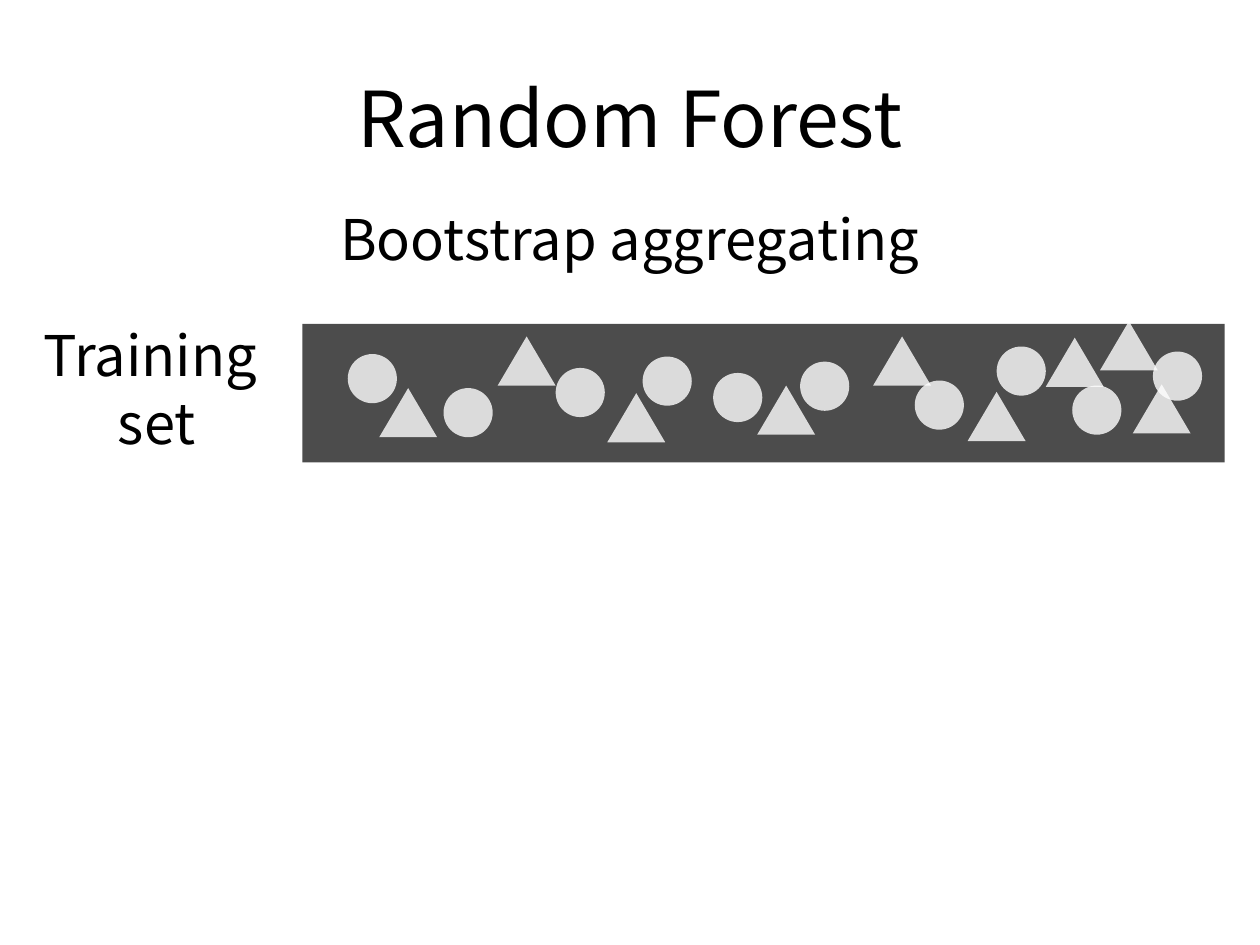
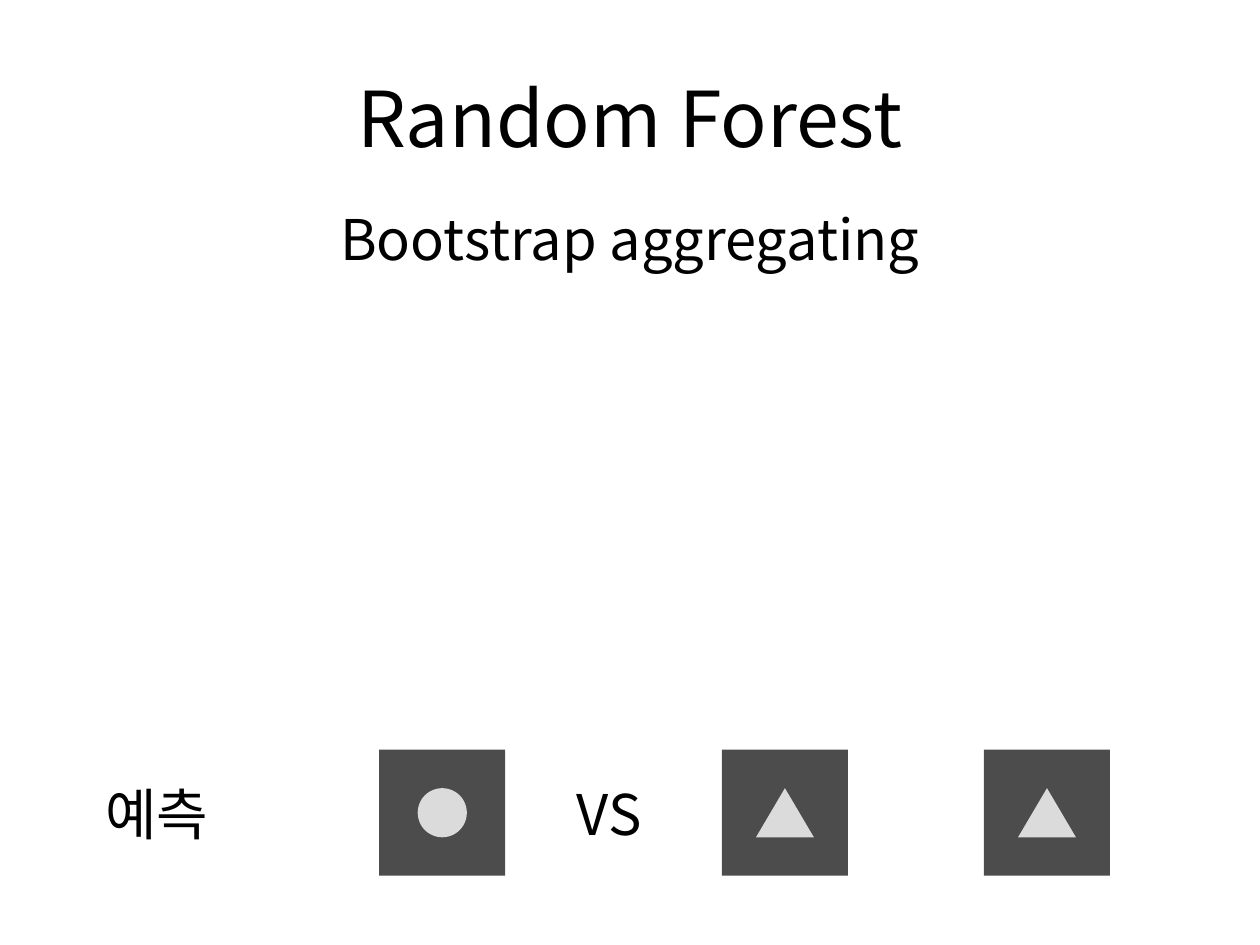
from lxml import etree
from pptx import Presentation
from pptx.dml.color import RGBColor
from pptx.enum import shapes, text
from pptx.oxml import ns
from pptx.util import Inches, Pt

BLACK = RGBColor(0x00, 0x00, 0x00)
WHITE = RGBColor(0xFF, 0xFF, 0xFF)
FONT = "Noto Sans CJK KR"
RECT = shapes.MSO_SHAPE.RECTANGLE
CIRCLE = shapes.MSO_SHAPE.OVAL
TRIANGLE = shapes.MSO_SHAPE.ISOSCELES_TRIANGLE
MARK_HEIGHT = 0.39
MARK_WIDTH = {CIRCLE: 0.39, TRIANGLE: 0.46}
LABEL_SIZE = (2.49, 1.12)

TRAINING_CIRCLES = [
    (0.36, 0.24), (1.12, 0.51), (2.01, 0.35), (3.26, 0.39), (2.7, 0.26),
    (3.95, 0.3), (4.86, 0.45), (6.11, 0.49), (5.51, 0.18), (6.75, 0.22),
]
TRAINING_TRIANGLES = [
    (0.61, 0.51), (1.55, 0.1), (2.42, 0.55), (3.61, 0.49), (4.53, 0.1),
    (5.28, 0.54), (5.9, 0.11), (6.33, -0.02), (6.59, 0.48),
]
PREDICTIONS = [(3.01, CIRCLE), (5.73, TRIANGLE), (7.81, TRIANGLE)]


def add_text(page, box, lines, size=32):
    frame = page.shapes.add_textbox(*map(Inches, box)).text_frame
    frame.word_wrap = True
    frame.vertical_anchor = text.MSO_ANCHOR.MIDDLE
    for index, line in enumerate(lines):
        para = frame.add_paragraph() if index else frame.paragraphs[0]
        para.text = line
        para.alignment = text.PP_ALIGN.CENTER
        if index:
            para.line_spacing = Pt(39)
        font = para.font
        font.size = Pt(size)
        font.name = FONT
        font.color.rgb = BLACK
        latin = para._p.find(".//" + ns.qn("a:latin"))
        east_asian = etree.Element(ns.qn("a:ea"), typeface=FONT)
        latin.addnext(east_asian)


def add_shape(page, kind, box, color, opacity):
    shape = page.shapes.add_shape(kind, *map(Inches, box))
    shape.shadow.inherit = False
    shape.line.fill.background()
    shape.fill.solid()
    shape.fill.fore_color.rgb = color
    tint = shape._element.spPr.find(".//" + ns.qn("a:srgbClr"))
    etree.SubElement(tint, ns.qn("a:alpha"), val=str(opacity * 1000))


def add_panel(page, box):
    add_shape(page, RECT, box, BLACK, 70)


def add_mark(page, kind, left, top):
    box = (left, top, MARK_WIDTH[kind], MARK_HEIGHT)
    add_shape(page, kind, box, WHITE, 80)


def add_page(deck):
    page = deck.slides.add_slide(deck.slide_layouts[6])
    add_text(page, (0.5, 0.3, 9, 1.25), ["Random Forest"], 44)
    add_text(page, (2.48, 1.64, 5.04, 0.5), ["Bootstrap aggregating"])
    return page


def add_training_set(page, box):
    left, top = box[:2]
    add_panel(page, box)
    for kind, places in ((CIRCLE, TRAINING_CIRCLES), (TRIANGLE, TRAINING_TRIANGLES)):
        for x, y in places:
            add_mark(page, kind, left + x, top + y)


def add_prediction(page, kind, box):
    left, top, width, height = box
    add_panel(page, box)
    add_mark(page, kind, left + (width - MARK_WIDTH[kind]) / 2,
             top + (height - MARK_HEIGHT) / 2)


def build_training_page(deck):
    page = add_page(deck)
    add_training_set(page, (2.4, 2.57, 7.32, 1.1))
    add_text(page, (0, 2.52, *LABEL_SIZE), ["Training ", "set"])


def build_prediction_page(deck):
    page = add_page(deck)
    for left, kind in PREDICTIONS:
        add_prediction(page, kind, (left, 5.95, 1, 1))
    for left, label in ((0, "예측"), (3.59, "VS")):
        add_text(page, (left, 5.89, *LABEL_SIZE), [label])


def main():
    deck = Presentation()
    deck.slide_width = Inches(10)
    deck.slide_height = Inches(7.5)
    build_training_page(deck)
    build_prediction_page(deck)
    deck.save("out.pptx")


if __name__ == "__main__":
    main()
